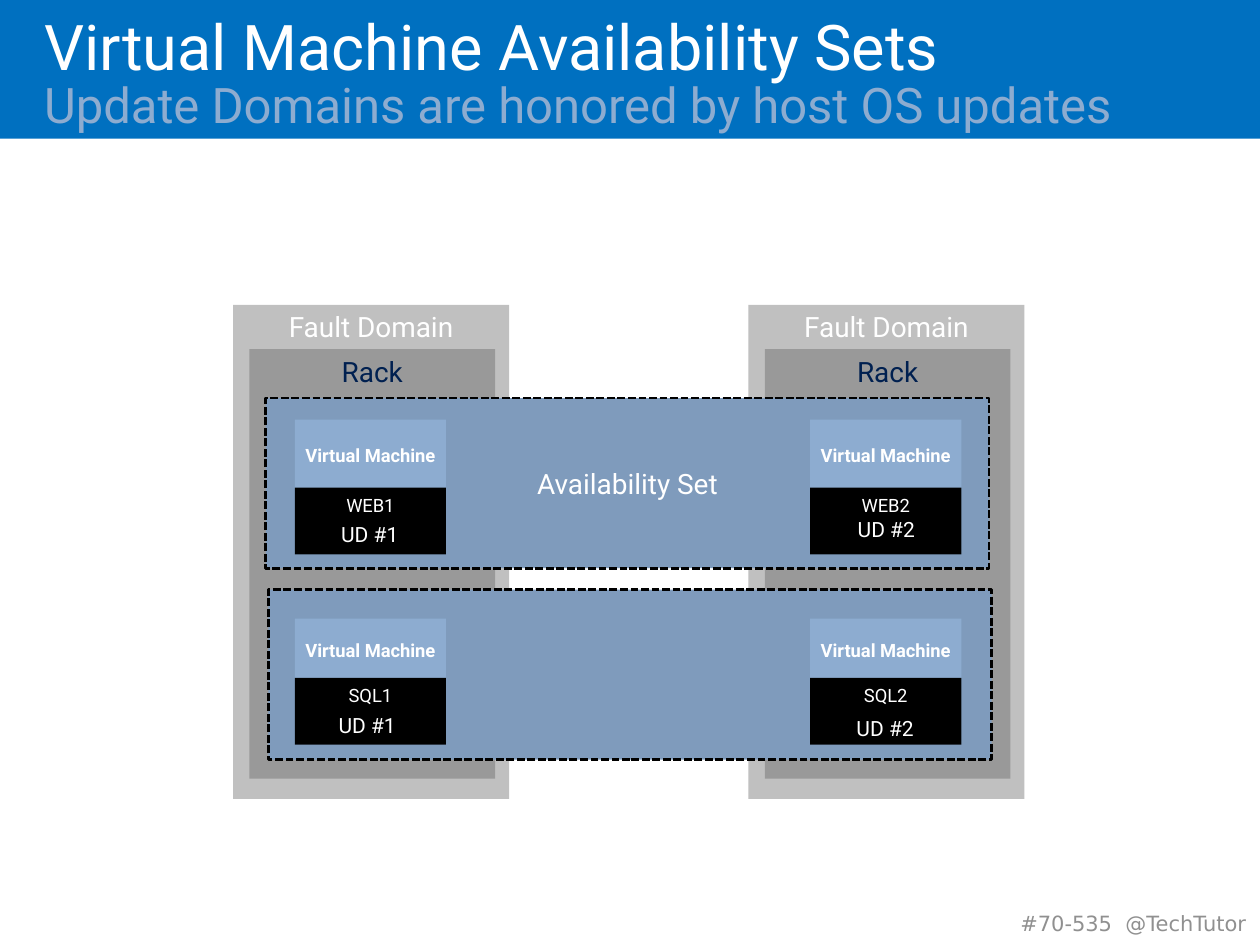
"""Builds the availability sets slide."""
from pptx import Presentation
from pptx.dml.color import RGBColor
from pptx.enum.dml import MSO_LINE
from pptx.enum.shapes import MSO_SHAPE
from pptx.enum.text import MSO_ANCHOR, PP_ALIGN
from pptx.util import Inches, Pt

COLS, ROWS = 100, 75


def rgb(value):
    """Turn a hex string into a colour."""
    return RGBColor.from_string(value)


def write(p, text, size=16, color="FFFFFF", bold=False, font="Roboto"):
    """Add a formatted run to a paragraph."""
    r = p.add_run()
    r.text = text
    r.font.name, r.font.size, r.font.bold = font, Pt(size), bold
    r.font.color.rgb = rgb(color)


class Deck:
    """Holds the presentation, its grid and the current slide."""

    def __init__(self):
        """Start a deck with one title-only slide."""
        self.prs = Presentation()
        self.prs.slide_width, self.prs.slide_height = Inches(10), Inches(7.5)
        self.col = self.prs.slide_width / COLS
        self.row = self.prs.slide_height / ROWS
        self.s = self.prs.slides.add_slide(self.prs.slide_layouts[5])

    def place(self, x, y, w, h):
        """Convert grid columns and rows to lengths."""
        return [int(n * unit) for n, unit in
                zip((x, y, w, h), (self.col, self.row) * 2)]

    def frame(self, sp, insets, anchor=MSO_ANCHOR.TOP, wrap=True):
        """Set the text frame's insets, anchor and wrapping."""
        tf = sp.text_frame
        tf.margin_left, tf.margin_top, tf.margin_right, tf.margin_bottom = map(Inches, insets)
        tf.vertical_anchor, tf.word_wrap = anchor, wrap
        return tf.paragraphs[0]

    def box(self, at, fill, text="", insets=(0.08, 0.04, 0.08, 0.04),
            anchor=MSO_ANCHOR.TOP, dashed=False, **style):
        """Draw a filled rectangle with centred text."""
        sp = self.s.shapes.add_shape(MSO_SHAPE.RECTANGLE, *self.place(*at))
        sp.shadow.inherit = False
        sp.fill.solid()
        sp.fill.fore_color.rgb = rgb(fill)
        if dashed:
            sp.line.color.rgb = rgb("000000")
            sp.line.width = Pt(1.5)
            sp.line.dash_style = MSO_LINE.SQUARE_DOT
        else:
            sp.line.fill.background()
        if text:
            p = self.frame(sp, insets, anchor)
            p.alignment = PP_ALIGN.CENTER
            write(p, text, **style)

    def label(self, at, text, align=PP_ALIGN.CENTER, **style):
        """Add a free line of text."""
        sp = self.s.shapes.add_textbox(*self.place(*at))
        p = self.frame(sp, (0.1, 0.05, 0.1, 0.05), wrap=False)
        p.alignment = align
        write(p, text, size=12, **style)

    def title(self, at, head, subhead):
        """Fill the title placeholder with a heading and a second line."""
        sp = self.s.shapes.title
        sp.left, sp.top, sp.width, sp.height = self.place(*at)
        p = self.frame(sp, (0.2, 0.15, 0.1, 0.05))
        p.alignment, p.line_spacing = PP_ALIGN.LEFT, 0.85
        write(p, head, size=36)
        p.add_line_break()
        write(p, subhead, size=28, color="8DACD0")
        self.s.shapes.element.append(sp.element)

    def fault_domain(self, x):
        """Draw a fault domain with its rack."""
        self.box((x, 24.2, 21.9, 39.2), "C0C0C0", "Fault Domain")
        self.box((x + 1.3, 27.7, 19.5, 34.1), "999999", "Rack", color="002050")

    def machine(self, x, top, name_top, name):
        """Draw a virtual machine with its name panel."""
        bottom = name_top + 5.3
        self.box((x, top, 12, bottom - top), "8DACD0", "Virtual Machine",
                 (0.08, 0, 0.08, 0.5), MSO_ANCHOR.MIDDLE, size=10.5, bold=True)
        self.box((x, name_top, 12, 5.3), "000000", name,
                 (0.08, 0.05, 0.08, 0), size=10.5)


def main():
    """Build and save the slide."""
    deck = Deck()
    deck.box((0, 0, COLS, 11), "0070C0")
    deck.title((1.5, 0, 96.5, 9.8), "Virtual Machine Availability Sets",
               "Update Domains are honored by host OS updates")
    domains = (18.5, 59.4)
    for x in domains:
        deck.fault_domain(x)
    sets = [(21.1, 31.6, "Availability Set", 33.3, 38.7, "WEB"),
            (21.3, 46.8, "", 49.1, 53.8, "SQL")]
    for x, y, text, top, name_top, role in sets:
        deck.box((x, y, 57.4, 13.5), "7F9BBC", text,
                 anchor=MSO_ANCHOR.MIDDLE, dashed=True)
        for number, left in enumerate(domains, 1):
            deck.machine(left + 4.9, top, name_top, f"{role}{number}")
    for x, y, number in [(26, 40.9, 1), (67, 40.5, 2), (25.8, 56.1, 1), (66.9, 56.3, 2)]:
        deck.label((x, y, 6.7, 3), f"UD #{number}")
    deck.label((73.8, 71.8, 26.1, 3), "#70-535\u00a0 @TechTutor".replace("\u00a0", " "),
               PP_ALIGN.RIGHT, color="909090", font="DejaVu Sans")
    deck.prs.save("out.pptx")


if __name__ == "__main__":
    main()
